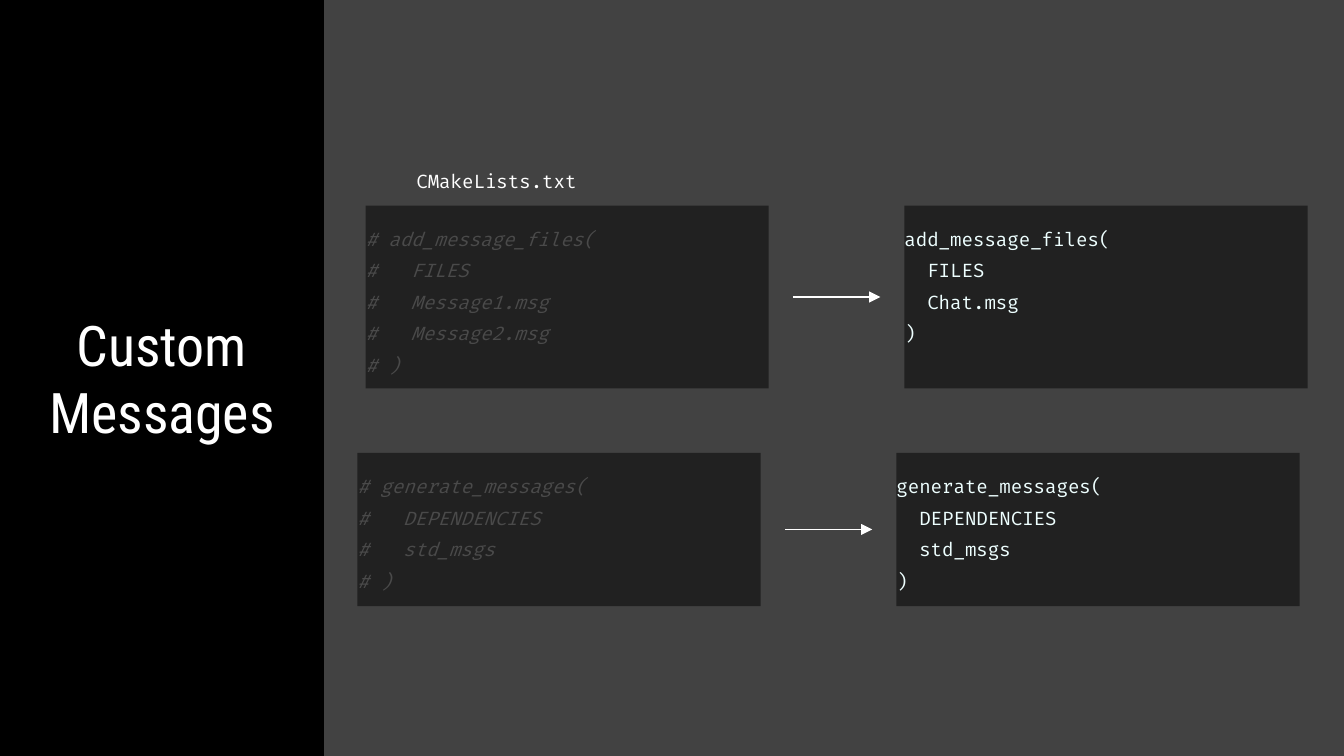
import pptx
import pptx.util
import pptx.dml.color
import pptx.enum.shapes
import pptx.enum.text
import pptx.oxml

Inches = pptx.util.Inches
ANCHOR = pptx.enum.text.MSO_ANCHOR
ALIGN = pptx.enum.text.PP_ALIGN
COLOR = pptx.dml.color.RGBColor.from_string

THEME = {
    "background": COLOR("424242"),
    "sidebar": COLOR("000000"),
    "panel": COLOR("212121"),
    "white": COLOR("FFFFFF"),
    "code": COLOR("EEFFFF"),
    "comment": COLOR("4A4A4A"),
    "title size": pptx.util.Pt(30),
    "code size": pptx.util.Pt(10),
    "title font": "Roboto Condensed",
    "code font": "Fira Code",
}
PAGE_WIDTH = 10
PAGE_HEIGHT = PAGE_WIDTH * 9 / 16

deck = pptx.Presentation()
deck.slide_width, deck.slide_height = Inches(PAGE_WIDTH), Inches(PAGE_HEIGHT)
page = deck.slides.add_slide(deck.slide_layouts[6])
page.background.fill.solid()
page.background.fill.fore_color.rgb = THEME["background"]


def add_box(left, top, width, height, fill=None):
    """Add a filled rectangle, or a plain text box when there is no fill."""
    place = [Inches(value) for value in (left, top, width, height)]
    if fill is None:
        return page.shapes.add_textbox(*place)
    box = page.shapes.add_shape(pptx.enum.shapes.MSO_SHAPE.RECTANGLE, *place)
    box.shadow.inherit = False
    box.fill.solid()
    box.fill.fore_color.rgb = fill
    box.line.fill.background()
    return box


def write(box, lines, color, kind="code", side=0.1, anchor=ANCHOR.MIDDLE,
          align=ALIGN.LEFT, spacing=1.0, italic=False):
    """Fill a box with one paragraph per line."""
    frame = box.text_frame
    frame_format = {
        "word_wrap": True, "vertical_anchor": anchor,
        "margin_left": Inches(side), "margin_right": Inches(side),
        "margin_top": Inches(0.1), "margin_bottom": Inches(0.1),
    }
    for name, value in frame_format.items():
        setattr(frame, name, value)
    font_format = {"name": THEME[kind + " font"], "size": THEME[kind + " size"],
                   "italic": italic}
    for index, line in enumerate(lines):
        para = frame.add_paragraph() if index else frame.paragraphs[0]
        para.alignment, para.line_spacing = align, spacing
        span = para.add_run()
        span.text = line
        for name, value in font_format.items():
            setattr(span.font, name, value)
        span.font.color.rgb = color


# Sidebar with the title
sidebar = add_box(0, 0, 2.41, PAGE_HEIGHT, THEME["sidebar"])
write(sidebar, ["Custom Messages"], THEME["white"], "title", align=ALIGN.CENTER)

# Each row: commented code, arrow, edited code
rows = [
    (2.72, 1.53, 1.36,
     ["# add_message_files(", "#   FILES", "#   Message1.msg",
      "#   Message2.msg", "# )"],
     ["add_message_files(", "  FILES", "  Chat.msg", ")"]),
    (2.66, 3.37, 1.14,
     ["# generate_messages(", "#   DEPENDENCIES", "#   std_msgs", "# )"],
     ["generate_messages(", "  DEPENDENCIES", "  std_msgs", ")"]),
]
PANEL_WIDTH, PANEL_STEP = 3, 4.01
ARROW_GAP, ARROW_LENGTH = 0.18, 0.65

for left, top, height, before, after in rows:
    panels = [(left + PANEL_STEP, after, THEME["code"], False),
              (left, before, THEME["comment"], True)]
    for panel_left, lines, color, italic in panels:
        panel = add_box(panel_left, top, PANEL_WIDTH, height, THEME["panel"])
        write(panel, lines, color, side=0, anchor=ANCHOR.TOP, spacing=1.4,
              italic=italic)

    start, middle = left + PANEL_WIDTH + ARROW_GAP, top + height / 2
    arrow = page.shapes.add_connector(
        pptx.enum.shapes.MSO_CONNECTOR.STRAIGHT, Inches(start), Inches(middle),
        Inches(start + ARROW_LENGTH), Inches(middle))
    arrow.line.color.rgb = THEME["white"]
    arrow.line.width = pptx.util.Pt(0.75)
    head = pptx.oxml.parse_xml(
        '<a:tailEnd xmlns:a="http://schemas.openxmlformats.org/drawingml/2006/main"'
        ' type="triangle" w="med" len="med"/>')
    arrow.line._get_or_add_ln().append(head)
    effects = pptx.oxml.parse_xml(
        '<a:effectLst xmlns:a="http://schemas.openxmlformats.org/drawingml/2006/main"/>')
    arrow._element.spPr.append(effects)

# File name above the first row
write(add_box(3, 1.12, 1.96, 0.45), ["CMakeLists.txt"], THEME["white"])

deck.save("out.pptx")
